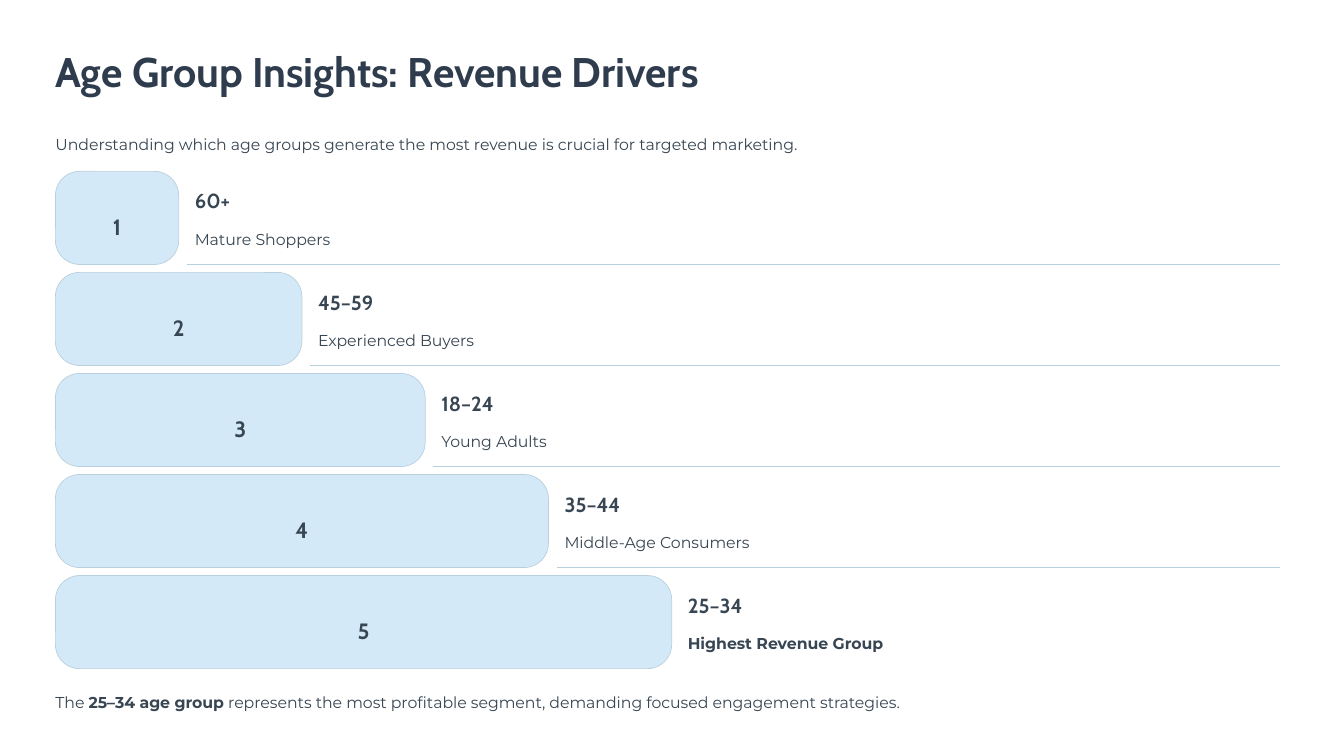
from dataclasses import dataclass

from lxml.etree import SubElement
from pptx import Presentation
from pptx.dml.color import RGBColor
from pptx.enum.shapes import MSO_CONNECTOR, MSO_SHAPE
from pptx.enum.text import PP_ALIGN
from pptx.oxml.ns import qn
from pptx.slide import Slide
from pptx.util import Pt

COLORS = {"title": "2E3C4E", "text": "384653", "bar": "D4E9F7", "rule": "BACFDD"}

LEFT = 47.5
RIGHT = 1097.5
FULL_WIDTH = 1056
FIRST_BAR_TOP = 146.9
BAR_PITCH = 86.6
BAR_HEIGHT = 79.8
BAR_STEP = 105.65
RULE_GAP = 7
LABEL_GAP = 13.8
NUMBER_WIDTH = 19.4


@dataclass(frozen=True)
class TextStyle:
    font: str
    size: float
    leading: float
    height: float
    color: str = "text"
    bold: bool = False


@dataclass(frozen=True)
class AgeGroup:
    ages: str
    description: str
    label_width: float
    highlighted: bool = False


TITLE = TextStyle("Cabin", 35.5, 44.5, 44.6, "title", True)
NUMBER = TextStyle("Cabin", 19, 30.5, 23.8, bold=True)
AGES = TextStyle("Cabin", 17.5, 22, 22.3, bold=True)
BODY = TextStyle("Montserrat", 13.5, 21.5, 21.6)

AGE_GROUPS = [
    AgeGroup("60+", "Mature Shoppers", 118),
    AgeGroup("45–59", "Experienced Buyers", 136),
    AgeGroup("18–24", "Young Adults", 91.5),
    AgeGroup("35–44", "Middle-Age Consumers", 161.5),
    AgeGroup("25–34", "Highest Revenue Group", 170, True),
]


def rgb(name: str) -> RGBColor:
    return RGBColor.from_string(COLORS[name])


def add_text(slide: Slide, left: float, top: float, width: float, style: TextStyle,
             *parts: tuple[str, bool], align: PP_ALIGN = PP_ALIGN.LEFT) -> None:
    """Add one line made of (wording, emphasised) parts."""
    box = slide.shapes.add_textbox(Pt(left), Pt(top), Pt(width), Pt(style.height))
    frame = box.text_frame
    frame_format = {"margin_left": 0, "margin_right": 0, "margin_top": 0,
                    "margin_bottom": 0, "word_wrap": False}
    for name, value in frame_format.items():
        setattr(frame, name, value)
    paragraph = frame.paragraphs[0]
    paragraph.alignment = align
    paragraph.line_spacing = Pt(style.leading)
    for wording, emphasised in parts:
        run = paragraph.add_run()
        run.text = wording
        font_format = {"name": style.font, "size": Pt(style.size),
                       "bold": style.bold or emphasised}
        for name, value in font_format.items():
            setattr(run.font, name, value)
        run.font.color.rgb = rgb(style.color)


def add_bar(slide: Slide, top: float, width: float) -> None:
    bar = slide.shapes.add_shape(MSO_SHAPE.ROUNDED_RECTANGLE,
                                 Pt(LEFT), Pt(top), Pt(width), Pt(BAR_HEIGHT))
    bar.adjustments[0] = 0.26
    bar.shadow.inherit = False
    bar.fill.solid()
    bar.fill.fore_color.rgb = rgb("bar")
    bar.line.color.rgb = rgb("rule")
    bar.line.width = Pt(0.6)


def add_rule(slide: Slide, left: float, y: float) -> None:
    rule = slide.shapes.add_connector(MSO_CONNECTOR.STRAIGHT,
                                      Pt(left), Pt(y), Pt(RIGHT), Pt(y))
    rule.line.color.rgb = rgb("rule")
    rule.line.width = Pt(0.9)
    SubElement(rule.line._get_or_add_ln().getparent(), qn("a:effectLst"))


def add_age_group(slide: Slide, rank: int, group: AgeGroup) -> None:
    top = FIRST_BAR_TOP + (rank - 1) * BAR_PITCH
    width = rank * BAR_STEP
    bar_right = LEFT + width
    label_left = bar_right + LABEL_GAP

    add_bar(slide, top, width)
    add_text(slide, LEFT + (width - NUMBER_WIDTH) / 2, top + 28, NUMBER_WIDTH,
             NUMBER, (str(rank), False), align=PP_ALIGN.CENTER)
    add_text(slide, label_left, top + 13.7, group.label_width, AGES, (group.ages, False))
    add_text(slide, label_left, top + 44.5, group.label_width, BODY,
             (group.description, group.highlighted))
    if rank < len(AGE_GROUPS):
        add_rule(slide, bar_right + RULE_GAP, top + BAR_HEIGHT)


def main() -> None:
    presentation = Presentation()
    presentation.slide_width = Pt(1152)
    presentation.slide_height = Pt(648)
    slide = presentation.slides.add_slide(presentation.slide_layouts[6])

    add_text(slide, LEFT, 37.4, 577.5, TITLE,
             ("Age Group Insights: Revenue Drivers", False))
    add_text(slide, LEFT, 110.2, FULL_WIDTH, BODY,
             ("Understanding which age groups generate the most revenue "
              "is crucial for targeted marketing.", False))
    for rank, group in enumerate(AGE_GROUPS, start=1):
        add_age_group(slide, rank, group)
    add_text(slide, LEFT, 588.2, FULL_WIDTH, BODY,
             ("The ", False), ("25–34 age group", True),
             (" represents the most profitable segment, "
              "demanding focused engagement strategies.", False))
    presentation.save("out.pptx")


if __name__ == "__main__":
    main()
